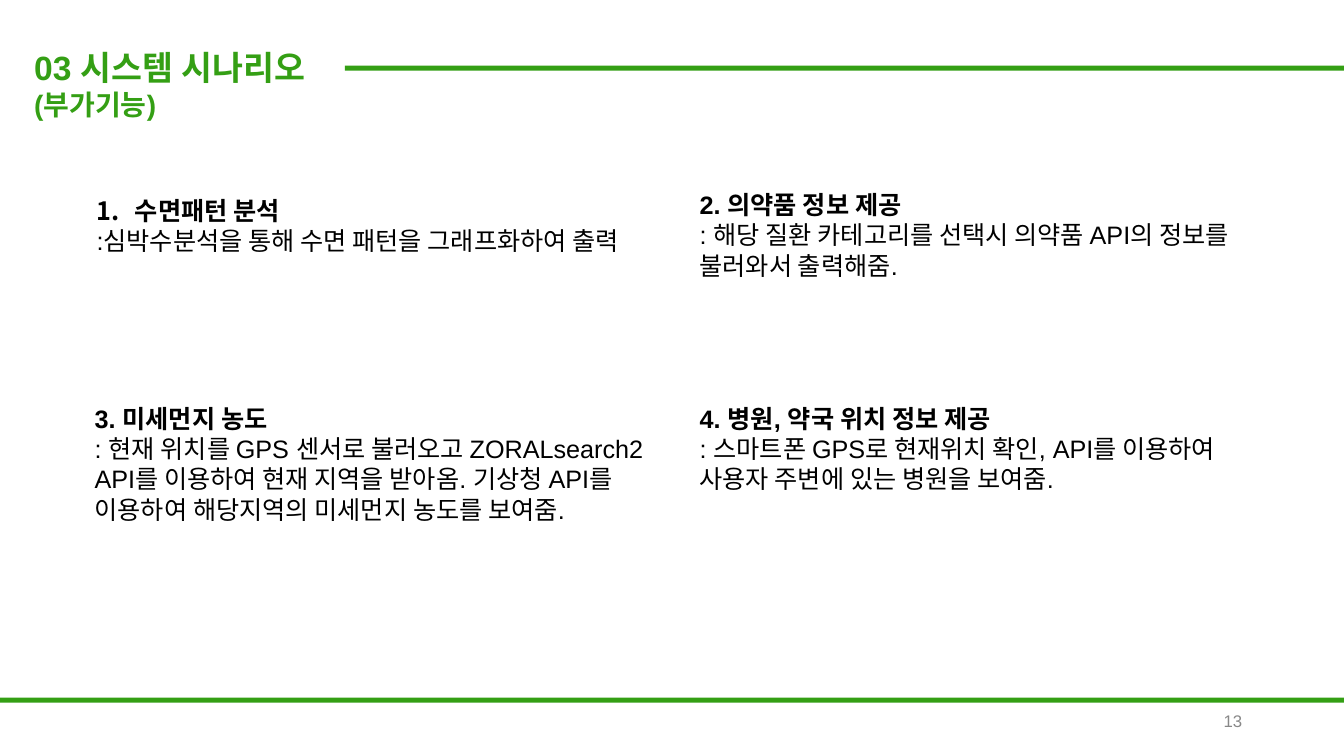
import pptx
import pptx.dml.color
import pptx.enum.shapes
import pptx.enum.text
import pptx.util
from lxml import etree
from pptx.util import Inches

FONT = "Arial"
GREEN = "349F14"
BLACK = "000000"
GRAY = "888888"

FEATURES = [
    ((0.86, 1.89, 5.81, 1.92), "수면패턴 분석",
     ":심박수분석을 통해 수면 패턴을 그래프화하여 출력"),
    ((6.84, 1.83, 6.28, 1.62), "2. 의약품 정보 제공",
     ": 해당 질환 카테고리를 선택시 의약품 API의 정보를 불러와서 출력해줌."),
    ((0.84, 3.95, 5.83, 2.15), "3. 미세먼지 농도",
     ": 현재 위치를 GPS 센서로 불러오고 ZORALsearch2 API를 이용하여 현재 지역을 "
     "받아옴. 기상청 API를 이용하여 해당지역의 미세먼지 농도를 보여줌."),
    ((6.84, 3.95, 5.69, 1.92), "4. 병원, 약국 위치 정보 제공",
     ": 스마트폰 GPS로 현재위치 확인, API를 이용하여 사용자 주변에 있는 병원을 보여줌."),
]


def rgb(color):
    return pptx.dml.color.RGBColor.from_string(color)


def add_bar(slide, left, top, width, height):
    bar = slide.shapes.add_shape(
        pptx.enum.shapes.MSO_SHAPE.RECTANGLE,
        Inches(left), Inches(top), Inches(width), Inches(height))
    bar.shadow.inherit = False
    bar.fill.solid()
    bar.fill.fore_color.rgb = rgb(GREEN)
    bar.line.fill.background()


def add_text(slide, box, lines, color):
    """Add one paragraph per (text, size, bold) line and return the text frame."""
    frame = slide.shapes.add_textbox(*(Inches(length) for length in box)).text_frame
    frame.word_wrap = True
    frame.text = "\n".join(text for text, _, _ in lines)
    for paragraph, (_, size, bold) in zip(frame.paragraphs, lines):
        font = paragraph.runs[0].font
        font.name = FONT
        font.size = pptx.util.Pt(size)
        font.bold = bold
        font.color.rgb = rgb(color)
    return frame


def number_paragraph(paragraph):
    """Turn on automatic numbering with a hanging indent."""
    properties = paragraph._p.get_or_add_pPr()
    indent = Inches(0.38)
    properties.set("marL", str(indent))
    properties.set("indent", str(-indent))
    numbering = etree.SubElement(properties, pptx.oxml.ns.qn("a:buAutoNum"))
    numbering.set("type", "arabicPeriod")


def main():
    presentation = pptx.Presentation()
    presentation.slide_width = Inches(13.33)
    presentation.slide_height = Inches(7.5)
    slide = presentation.slides.add_slide(presentation.slide_layouts[6])

    page_number = add_text(slide, (9.42, 6.95, 3, 0.4), [("13", 12, False)], GRAY)
    page_number.vertical_anchor = pptx.enum.text.MSO_ANCHOR.MIDDLE
    page_number.paragraphs[0].alignment = pptx.enum.text.PP_ALIGN.RIGHT

    add_bar(slide, 3.42, 0.65, 9.92, 0.05)
    add_bar(slide, 0, 6.92, 13.35, 0.05)
    add_text(slide, (0.24, 0.42, 4.08, 0.5),
             [("03 시스템 시나리오", 24, True), ("(부가기능)", 20, True)], GREEN)

    features = [add_text(slide, box, [(heading, 18, True), (detail, 18, False)], BLACK)
                for box, heading, detail in FEATURES]
    number_paragraph(features[0].paragraphs[0])

    presentation.save("out.pptx")


if __name__ == "__main__":
    main()
